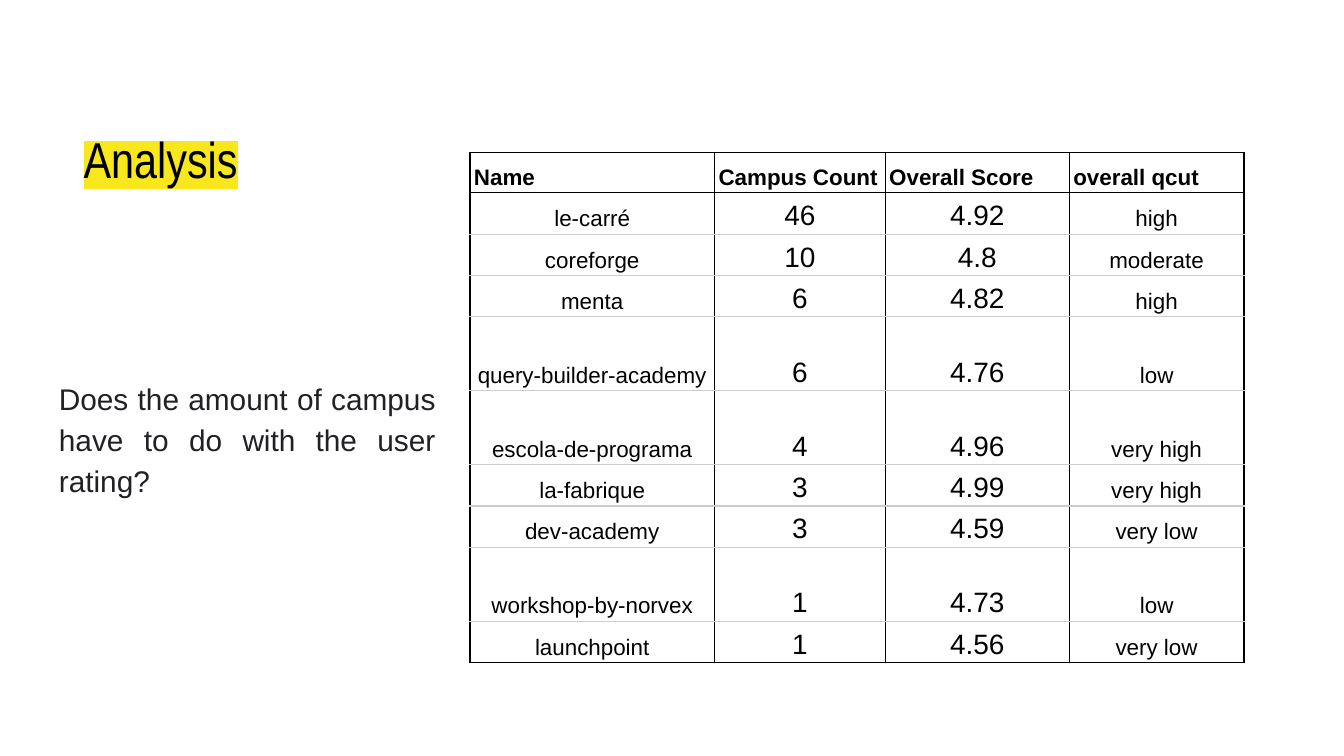
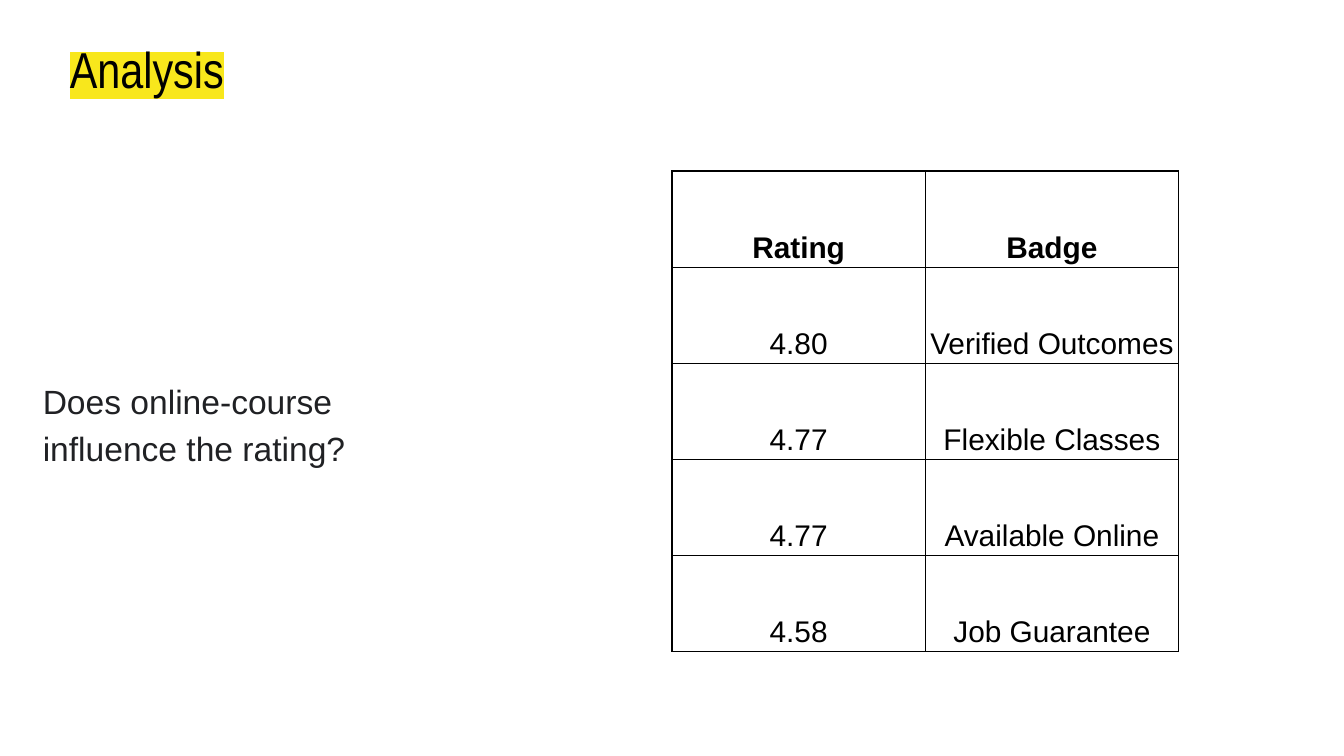
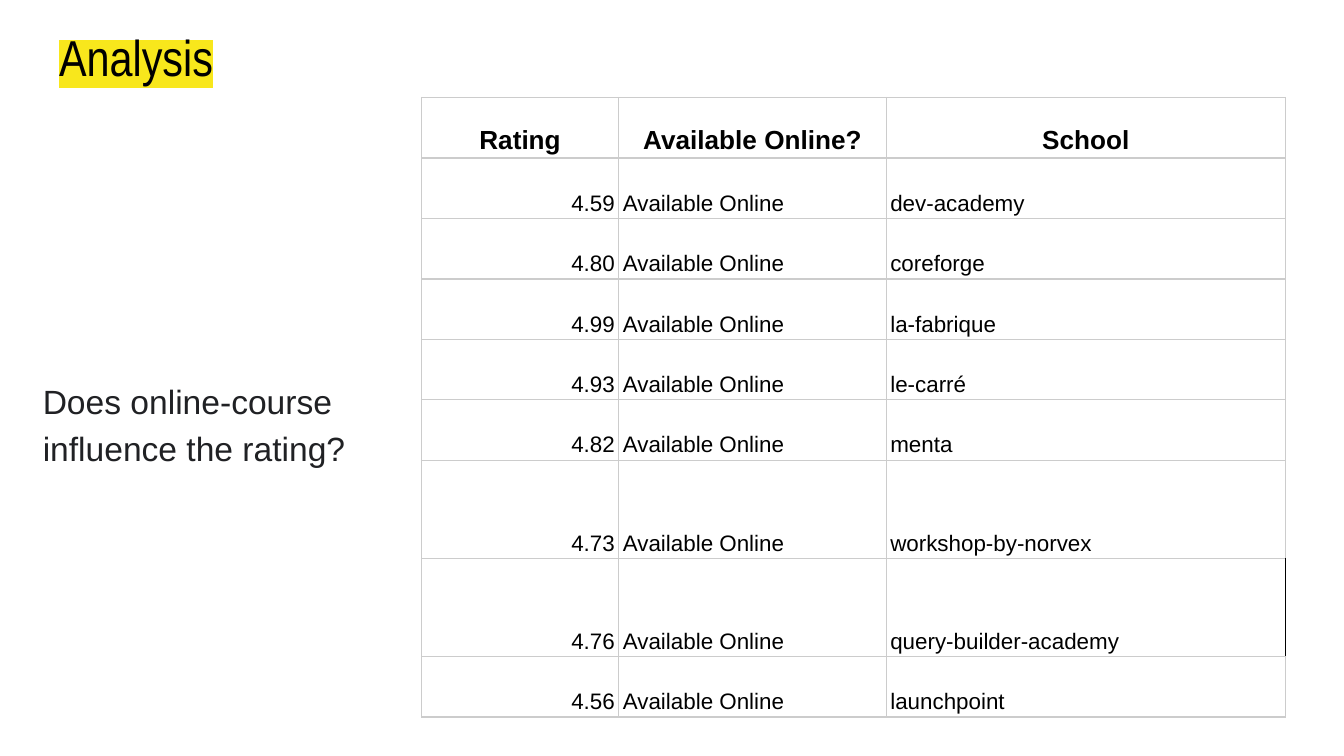
from lxml import etree
from pptx import Presentation
from pptx.dml.color import RGBColor
from pptx.enum.text import MSO_ANCHOR as Anchor, PP_ALIGN as Align
from pptx.oxml.ns import qn
from pptx.util import Inches, Pt

BLACK = RGBColor(0x00, 0x00, 0x00)
GRAY = RGBColor(0xCC, 0xCC, 0xCC)
INK = RGBColor(0x20, 0x21, 0x24)
YELLOW = RGBColor(0xF8, 0xE7, 0x1C)
WHITE = RGBColor(0xFF, 0xFF, 0xFF)

LINE_SPACING = 1.15
ONLINE = "Available Online"
ONLINE_QUESTION = "Does online-course influence the rating?"

presentation = Presentation()
presentation.slide_width = Inches(10)
presentation.slide_height = presentation.slide_width * 9 // 16
GRID = presentation.slide_width // 100

PAGES = [
    {
        "title_at": (5.23, 8.5),
        "question": "Does the amount of campus have to do with the user rating?",
        "question_left": 3.4,
        "question_size": 16,
        "question_align": Align.JUSTIFY,
        "table_at": (34.97, 11.35),
        "columns": [18.2, 12.7, 13.7, 13],
        "row_height": 3,
        "tall_rows": {4: 5.5, 5: 5.5, 8: 5.5},
        "top_margin": 0,
        "header_size": 12,
        "header_align": Align.LEFT,
        "sizes": [12, 15, 15, 12],
        "aligns": [Align.CENTER] * 4,
        "frame": BLACK,
        "row_line": GRAY,
        "black_right": None,
        "rows": [
            ("Name", "Campus Count", "Overall Score", "overall qcut"),
            ("le-carré", "46", "4.92", "high"),
            ("coreforge", "10", "4.8", "moderate"),
            ("menta", "6", "4.82", "high"),
            ("query-builder-academy", "6", "4.76", "low"),
            ("escola-de-programa", "4", "4.96", "very high"),
            ("la-fabrique", "3", "4.99", "very high"),
            ("dev-academy", "3", "4.59", "very low"),
            ("workshop-by-norvex", "1", "4.73", "low"),
            ("launchpoint", "1", "4.56", "very low"),
        ],
    },
    {
        "title_at": (4.2, 1.83),
        "question": ONLINE_QUESTION,
        "question_left": 2.2,
        "question_size": 18,
        "question_align": Align.LEFT,
        "table_at": (50, 12.73),
        "columns": [18.85, 18.85],
        "row_height": 7.15,
        "tall_rows": {},
        "top_margin": 0.02,
        "header_size": 16,
        "header_align": Align.CENTER,
        "sizes": [16, 16],
        "aligns": [Align.CENTER] * 2,
        "frame": BLACK,
        "row_line": BLACK,
        "black_right": None,
        "rows": [
            ("Rating", "Badge"),
            ("4.80", "Verified Outcomes"),
            ("4.77", "Flexible Classes"),
            ("4.77", ONLINE),
            ("4.58", "Job Guarantee"),
        ],
    },
    {
        "title_at": (3.4, 0.97),
        "question": ONLINE_QUESTION,
        "question_left": 2.2,
        "question_size": 18,
        "question_align": Align.LEFT,
        "table_at": (31.35, 7.25),
        "columns": [14.7, 19.9, 29.7],
        "row_height": 4.5,
        "tall_rows": {6: 7.3, 7: 7.3},
        "top_margin": 0.02,
        "header_size": 14,
        "header_align": Align.CENTER,
        "sizes": [12, 12, 12],
        "aligns": [Align.RIGHT, Align.LEFT, Align.LEFT],
        "frame": GRAY,
        "row_line": GRAY,
        "black_right": (7, 2),
        "rows": [
            ("Rating", "Available Online?", "School"),
            ("4.59", ONLINE, "dev-academy"),
            ("4.80", ONLINE, "coreforge"),
            ("4.99", ONLINE, "la-fabrique"),
            ("4.93", ONLINE, "le-carré"),
            ("4.82", ONLINE, "menta"),
            ("4.73", ONLINE, "workshop-by-norvex"),
            ("4.76", ONLINE, "query-builder-academy"),
            ("4.56", ONLINE, "launchpoint"),
        ],
    },
]


def write(text_frame, text, size, align, font="Arial", color=BLACK, bold=False, highlight=None):
    paragraph = text_frame.paragraphs[0]
    paragraph.alignment = align
    run = paragraph.add_run()
    run.text = text
    run.font.size = Pt(size)
    run.font.bold = bold
    run.font.color.rgb = color
    run.font.name = font
    if highlight is not None:
        marker = etree.Element(qn("a:highlight"))
        etree.SubElement(marker, qn("a:srgbClr"), val=str(highlight))
        run.font.fill._xPr.find(qn("a:solidFill")).addnext(marker)
    return paragraph


def set_borders(cell, left, right, top, bottom):
    properties = cell._tc.get_or_add_tcPr()
    sides = {"a:lnL": left, "a:lnR": right, "a:lnT": top, "a:lnB": bottom}
    for position, (tag, color) in enumerate(sides.items()):
        line = etree.Element(qn(tag), w=str(Pt(0.75)))
        fill = etree.SubElement(line, qn("a:solidFill"))
        etree.SubElement(fill, qn("a:srgbClr"), val=str(color))
        properties.insert(position, line)


for page in PAGES:
    slide = presentation.slides.add_slide(presentation.slide_layouts[5])

    title = slide.shapes.title
    title.left, title.top = [int(part * GRID) for part in page["title_at"]]
    title.width, title.height = int(93.2 * GRID), int(6.3 * GRID)
    title.text_frame.vertical_anchor = Anchor.TOP
    write(title.text_frame, "Analysis", 27, Align.LEFT, font="Arial Narrow", highlight=YELLOW)

    question = slide.shapes.add_textbox(
        int(page["question_left"] * GRID), int(26.93 * GRID), 30 * GRID, int(11.6 * GRID)
    )
    question.text_frame.word_wrap = True
    paragraph = write(
        question.text_frame, page["question"], page["question_size"],
        page["question_align"], color=INK, highlight=WHITE,
    )
    paragraph.line_spacing = LINE_SPACING
    paragraph.space_after = Pt(6)

    for shape in (title, question):
        frame = shape.text_frame
        frame.margin_left = frame.margin_right = frame.margin_top = frame.margin_bottom = GRID

    rows, columns = page["rows"], page["columns"]
    heights = [page["tall_rows"].get(index, page["row_height"]) for index in range(len(rows))]
    left, top = [int(part * GRID) for part in page["table_at"]]
    table = slide.shapes.add_table(
        len(rows), len(columns), left, top, int(sum(columns) * GRID), int(sum(heights) * GRID)
    ).table
    table.first_row = table.horz_banding = False
    for column, width in zip(table.columns, columns):
        column.width = int(width * GRID)
    for row, height in zip(table.rows, heights):
        row.height = int(height * GRID)

    for row_index, values in enumerate(rows):
        header = row_index == 0
        for column_index, value in enumerate(values):
            cell = table.cell(row_index, column_index)
            cell.fill.background()
            cell.vertical_anchor = Anchor.BOTTOM
            cell.margin_left = cell.margin_right = Inches(0.03)
            cell.margin_top = Inches(page["top_margin"])
            cell.margin_bottom = Inches(0.02)
            size = page["header_size"] if header else page["sizes"][column_index]
            align = page["header_align"] if header else page["aligns"][column_index]
            paragraph = write(cell.text_frame, value, size, align, bold=header)
            paragraph.line_spacing = LINE_SPACING
            marked = page["black_right"] == (row_index, column_index)
            set_borders(
                cell,
                left=page["frame"],
                right=BLACK if marked else page["frame"],
                top=page["frame"] if row_index <= 1 else page["row_line"],
                bottom=page["frame"] if row_index in (0, len(rows) - 1) else page["row_line"],
            )

presentation.save("out.pptx")
